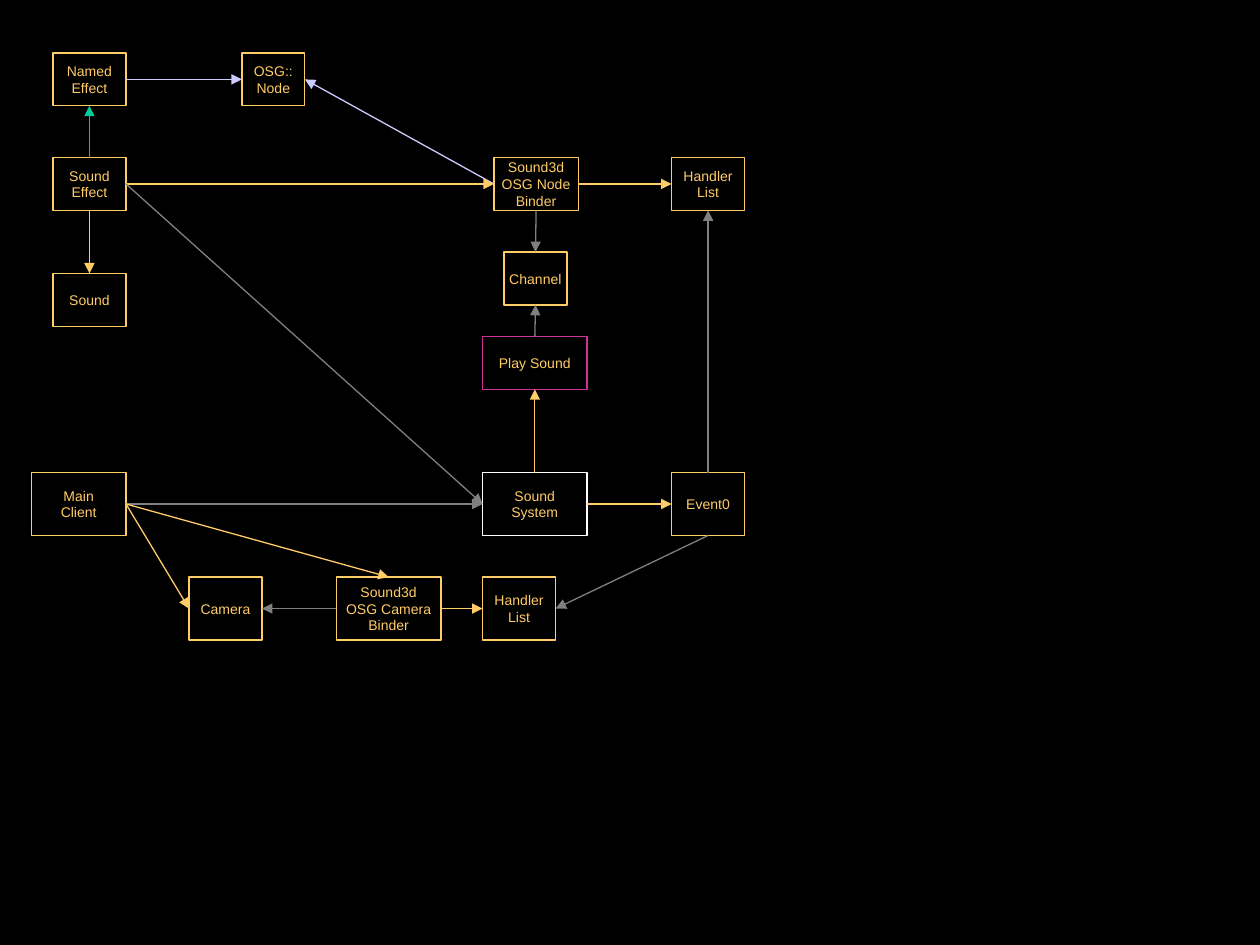
import pptx
import pptx.util
import pptx.dml.color
import pptx.enum.shapes
import pptx.enum.text
import pptx.oxml
import pptx.oxml.ns
import lxml.etree

Inches = pptx.util.Inches
Pt = pptx.util.Pt

COLORS = {
    "black": "000000",
    "gold": "FFCC66",
    "white": "FFFFFF",
    "pink": "CC3399",
    "lilac": "CCCCFF",
    "green": "00CC99",
    "gray": "808080",
}
TOP, LEFT, BOTTOM, RIGHT = range(4)


def color(name):
    return pptx.dml.color.RGBColor.from_string(COLORS[name])


class Chart:
    font = "Arial"
    size = Pt(8)
    width = Pt(0.75)

    def __init__(self, slide):
        self.slide = slide
        self.boxes = {}
        fill = slide.background.fill
        fill.solid()
        fill.fore_color.rgb = color("black")

    def box(self, key, text, left, top, width, height, edge="gold"):
        shape = self.slide.shapes.add_shape(
            pptx.enum.shapes.MSO_SHAPE.RECTANGLE,
            Inches(left), Inches(top), Inches(width), Inches(height))
        shape.shadow.inherit = False
        shape.fill.background()
        shape.line.color.rgb = color(edge)
        shape.line.width = self.width
        frame = shape.text_frame
        frame.word_wrap = False
        frame.vertical_anchor = pptx.enum.text.MSO_ANCHOR.MIDDLE
        frame.text = text
        for para in frame.paragraphs:
            para.alignment = pptx.enum.text.PP_ALIGN.CENTER
            para.font.name = self.font
            para.font.size = self.size
            para.font.color.rgb = color("gold")
        self.boxes[key] = shape

    def arrow(self, start, out, end, into, hue):
        line = self.slide.shapes.add_connector(
            pptx.enum.shapes.MSO_CONNECTOR.STRAIGHT, 0, 0, 0, 0)
        line.begin_connect(self.boxes[start], out)
        line.end_connect(self.boxes[end], into)
        line.line.color.rgb = color(hue)
        line.line.width = self.width
        qn = pptx.oxml.ns.qn
        props = line.element.spPr
        lxml.etree.SubElement(props.find(qn("a:ln")), qn("a:tailEnd"), type="triangle")
        lxml.etree.SubElement(props, qn("a:effectLst"))


BOXES = [
    ("named", "Named\nEffect", 0.42, 0.42, 0.58, 0.42),
    ("node", "OSG::\nNode", 1.92, 0.42, 0.5, 0.42),
    ("effect", "Sound\nEffect", 0.42, 1.25, 0.58, 0.42),
    ("binder", "Sound3d\nOSG Node\nBinder", 3.92, 1.25, 0.67, 0.42),
    ("nodelist", "Handler\nList", 5.33, 1.25, 0.58, 0.42),
    ("sound", "Sound", 0.42, 2.17, 0.58, 0.42),
    ("channel", "Channel", 4, 2, 0.5, 0.42),
    ("play", "Play Sound", 3.83, 2.67, 0.83, 0.42, "pink"),
    ("client", "Main\nClient", 0.25, 3.75, 0.75, 0.5),
    ("system", "Sound\nSystem", 3.83, 3.75, 0.83, 0.5, "white"),
    ("event", "Event0", 5.33, 3.75, 0.58, 0.5),
    ("camera", "Camera", 1.5, 4.58, 0.58, 0.5),
    ("cambind", "Sound3d\nOSG Camera\nBinder", 2.67, 4.58, 0.83, 0.5),
    ("camlist", "Handler\nList", 3.83, 4.58, 0.58, 0.5),
]

ARROWS = [
    ("named", RIGHT, "node", LEFT, "lilac"),
    ("binder", LEFT, "node", RIGHT, "lilac"),
    ("effect", BOTTOM, "sound", TOP, "gold"),
    ("system", TOP, "play", BOTTOM, "gold"),
    ("client", RIGHT, "camera", LEFT, "gold"),
    ("effect", TOP, "named", BOTTOM, "green"),
    ("event", TOP, "nodelist", BOTTOM, "gray"),
    ("system", RIGHT, "event", LEFT, "gold"),
    ("binder", BOTTOM, "channel", TOP, "gray"),
    ("effect", RIGHT, "binder", LEFT, "gold"),
    ("play", TOP, "channel", BOTTOM, "gray"),
    ("effect", RIGHT, "system", LEFT, "gray"),
    ("client", RIGHT, "system", LEFT, "gray"),
    ("cambind", LEFT, "camera", RIGHT, "gray"),
    ("client", RIGHT, "cambind", TOP, "gold"),
    ("binder", RIGHT, "nodelist", LEFT, "gold"),
    ("cambind", RIGHT, "camlist", LEFT, "gold"),
    ("event", BOTTOM, "camlist", RIGHT, "gray"),
]


def main():
    deck = pptx.Presentation()
    deck.slide_width = Inches(10)
    deck.slide_height = Inches(7.5)
    chart = Chart(deck.slides.add_slide(deck.slide_layouts[6]))
    for box in BOXES:
        chart.box(*box)
    for arrow in ARROWS:
        chart.arrow(*arrow)
    deck.save("out.pptx")


if __name__ == "__main__":
    main()
